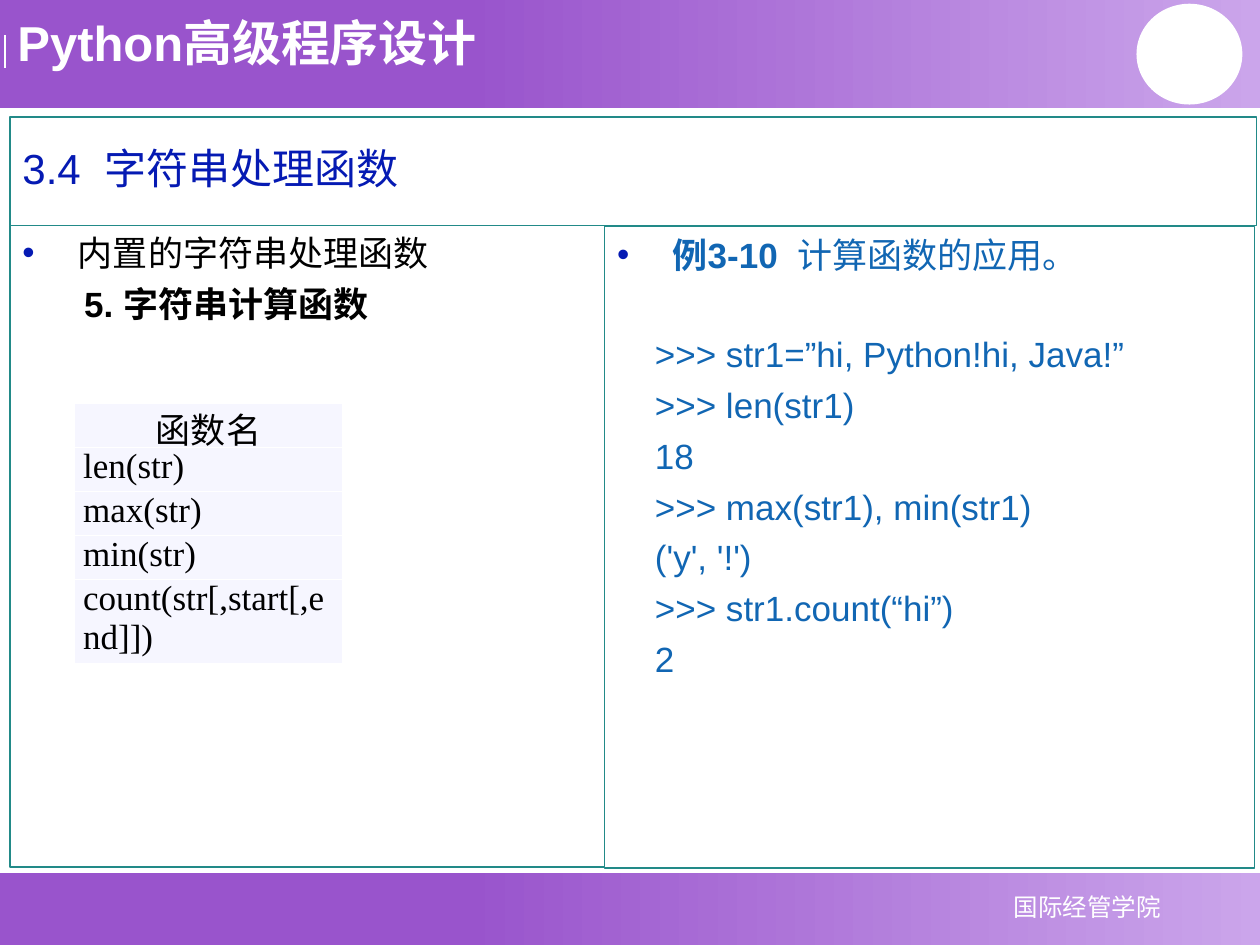
from lxml.etree import SubElement
from pptx import Presentation
from pptx.dml.color import RGBColor
from pptx.enum.shapes import MSO_CONNECTOR, MSO_SHAPE
from pptx.enum.text import MSO_ANCHOR, PP_ALIGN
from pptx.oxml.ns import qn
from pptx.util import Inches, Pt

COLORS = {
    "purple": "9954CC", "lilac": "CBA5EB", "white": "FFFFFF", "teal": "228A88",
    "navy": "051AB3", "blue": "1166B3", "black": "000000", "cell": "F6F6FF",
}


def rgb(name):
    return RGBColor.from_string(COLORS[name])


def add_text(p, text, size, color, bold=False, font="Arial", indent=None, bullet=False, **fmt):
    r = p.add_run()
    r.text = text
    for key, value in {"size": Pt(size), "bold": bold, "name": font}.items():
        setattr(r.font, key, value)
    r.font.color.rgb = rgb(color)
    for key, value in fmt.items():
        setattr(p, key, value)
    pPr = p._p.get_or_add_pPr()
    if indent is not None:
        pPr.set("marL", str(Inches(indent)))
        pPr.set("indent", str(Inches(-indent if bullet else 0)))
    if bullet:
        clr = SubElement(pPr, qn("a:buClr"))
        SubElement(clr, qn("a:srgbClr"), val=COLORS["navy"])
        SubElement(pPr, qn("a:buFont"), typeface="Arial")
        SubElement(pPr, qn("a:buChar"), char="•")


prs = Presentation()
prs.slide_width, prs.slide_height = Inches(10), Inches(7.5)
s = prs.slides.add_slide(prs.slide_layouts[6])

for top, height in [(6.93, 0.57), (0, 0.86)]:
    sp = s.shapes.add_shape(MSO_SHAPE.RECTANGLE, 0, Inches(top), Inches(10), Inches(height))
    sp.shadow.inherit = False
    sp.line.fill.background()
    sp.fill.gradient()
    sp.fill.gradient_angle = 0
    for stop, (position, color) in zip(sp.fill.gradient_stops, [(0.37, "purple"), (1, "lilac")]):
        stop.position = position
        stop.color.rgb = rgb(color)

tick = s.shapes.add_connector(
    MSO_CONNECTOR.STRAIGHT, Inches(0.04), Inches(0.28), Inches(0.04), Inches(0.54))
tick.line.color.rgb = rgb("white")
tick.line.width = Pt(0.75)
SubElement(tick._element.spPr, qn("a:effectLst"))

for box, text, size, bold, align, anchor in [
    ((7.47, 7.03, 2.32, 0.34), "国际经管学院", 14, False, PP_ALIGN.CENTER, MSO_ANCHOR.MIDDLE),
    ((0.04, 0.05, 4.1, 0.57), "Python高级程序设计", 28, True, PP_ALIGN.LEFT, MSO_ANCHOR.TOP),
]:
    tf = s.shapes.add_textbox(*map(Inches, box)).text_frame
    tf.word_wrap = True
    tf.vertical_anchor = anchor
    add_text(tf.paragraphs[0], text, size, "white", bold, alignment=align)

badge = s.shapes.add_shape(MSO_SHAPE.OVAL, Inches(9.02), Inches(0.03), Inches(0.84), Inches(0.8))
badge.shadow.inherit = False
badge.fill.solid()
badge.fill.fore_color.rgb = rgb("white")
badge.line.fill.background()

frames = []
for box in [(0.08, 0.93, 9.89, 0.86), (0.08, 1.79, 4.72, 5.09), (4.8, 1.8, 5.16, 5.09)]:
    sp = s.shapes.add_shape(MSO_SHAPE.RECTANGLE, *map(Inches, box))
    sp.shadow.inherit = False
    sp.fill.background()
    sp.line.color.rgb = rgb("teal")
    sp.line.width = Pt(0.75)
    tf = sp.text_frame
    tf.word_wrap = True
    tf.vertical_anchor = MSO_ANCHOR.TOP
    frames.append(tf)
title, topic, example = frames

title.vertical_anchor = MSO_ANCHOR.MIDDLE
add_text(title.paragraphs[0], "3.4  字符串处理函数", 24, "navy",
         alignment=PP_ALIGN.LEFT, line_spacing=0.9)

body = {"alignment": PP_ALIGN.LEFT, "space_after": Pt(5)}
add_text(topic.paragraphs[0], "内置的字符串处理函数", 20, "black", indent=0.44, bullet=True, **body)
add_text(topic.add_paragraph(), "5. 字符串计算函数", 20, "black", True, indent=0.49, **body)

p = example.paragraphs[0]
add_text(p, "例3-10  ", 20, "blue", True, indent=0.44, bullet=True,
         alignment=PP_ALIGN.LEFT, space_after=Pt(33))
add_text(p, "计算函数的应用。", 20, "blue")
for line in [
    ">>> str1=”hi, Python!hi, Java!”", ">>> len(str1)", "18",
    ">>> max(str1), min(str1)", "('y', '!')", ">>> str1.count(“hi”)", "2",
]:
    add_text(example.add_paragraph(), line, 20, "blue", indent=0.3, **body)

functions = ["函数名", "len(str)", "max(str)", "min(str)", "count(str[,start[,end]])"]
table = s.shapes.add_table(
    len(functions), 1, Inches(0.59), Inches(3.2), Inches(2.13), Inches(1.73)).table
table.first_row = table.horz_banding = False
for i, name in enumerate(functions):
    table.rows[i].height = Inches(0.35)
    cell = table.cell(i, 0)
    for key, value in {"margin_left": 0.07, "margin_right": 0.07,
                       "margin_top": 0, "margin_bottom": 0}.items():
        setattr(cell, key, Inches(value))
    tcPr = cell._tc.get_or_add_tcPr()
    for side in ("a:lnL", "a:lnR", "a:lnT", "a:lnB"):
        ln = SubElement(tcPr, qn(side), w=str(Pt(1)))
        SubElement(SubElement(ln, qn("a:solidFill")), qn("a:srgbClr"), val=COLORS["white"])
    cell.fill.solid()
    cell.fill.fore_color.rgb = rgb("cell")
    add_text(cell.text_frame.paragraphs[0], name, 20, "black",
             font="Times New Roman" if i else "Arial",
             alignment=PP_ALIGN.JUSTIFY if i else PP_ALIGN.CENTER,
             space_before=Pt(1.2), space_after=Pt(1.2))

prs.save("out.pptx")
